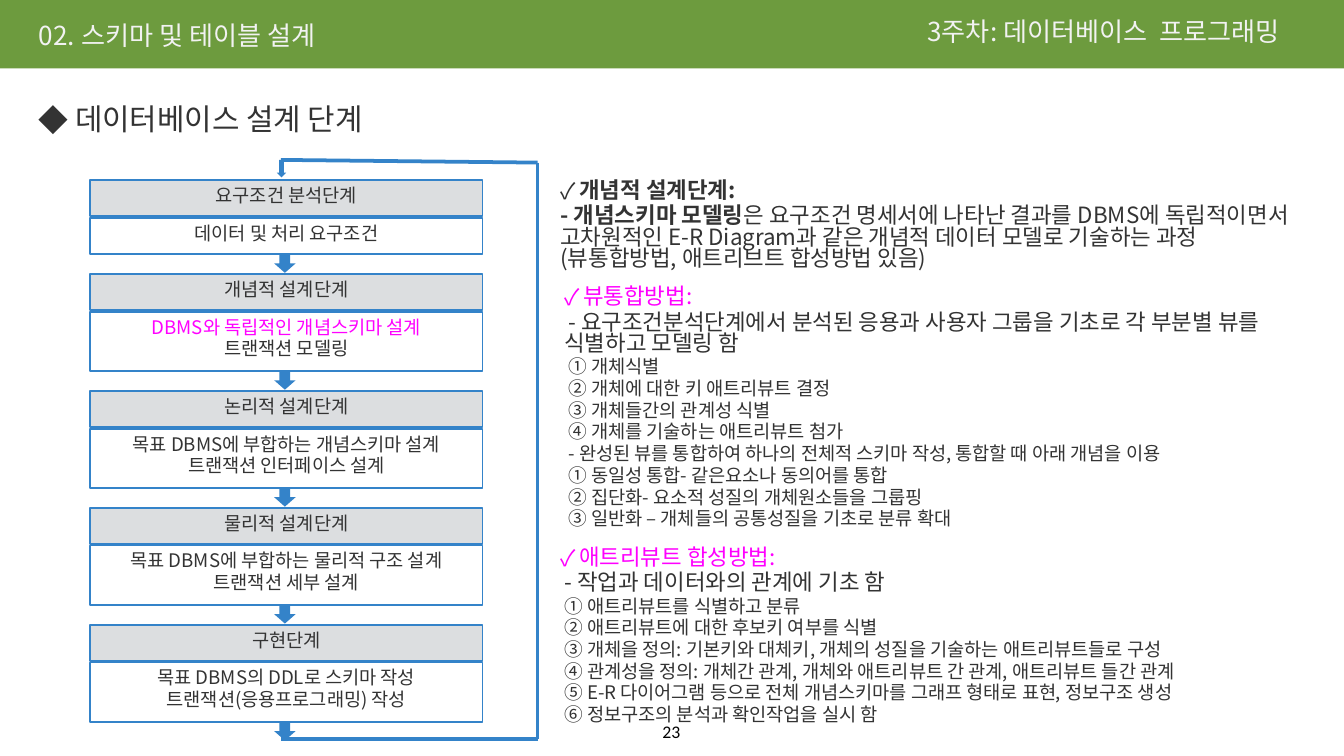
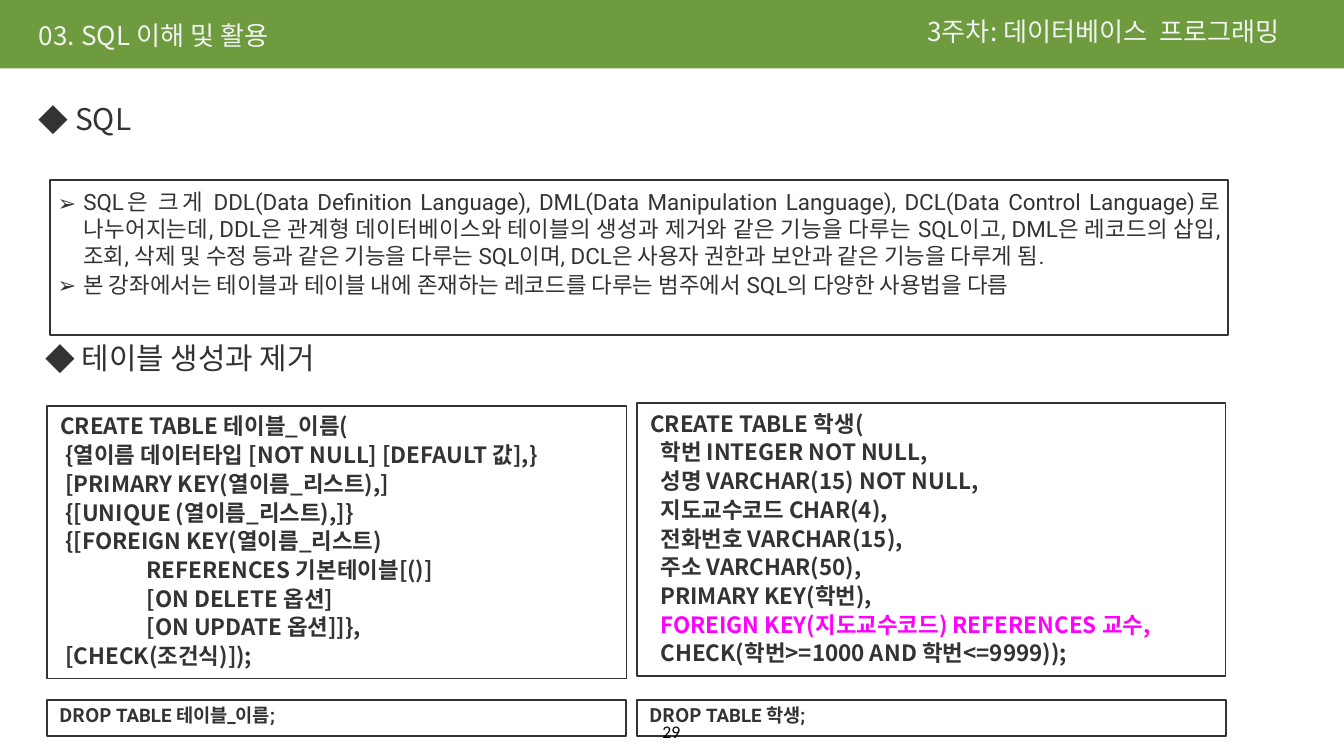
from lxml import etree
from pptx import Presentation
from pptx import util as u
from pptx.dml.color import RGBColor
from pptx.enum import shapes, text
from pptx.oxml.ns import qn

THEME = {
    "green": "6D9B3E", "pale": "F2F2F2", "ink": "333333", "pink": "FF00FF",
    "blue": "3483C9", "grey": "DCDEE0", "black": "000000",
    "korean": "Noto Sans CJK KR", "latin": "Roboto", "number": "Calibri",
    "title": 14, "heading": 16, "body": 12, "small": 10, "page": 9.5,
}
LEFT, CENTER, JUSTIFY = text.PP_ALIGN.LEFT, text.PP_ALIGN.CENTER, text.PP_ALIGN.JUSTIFY
RECT, ARROW = shapes.MSO_SHAPE.RECTANGLE, shapes.MSO_SHAPE.DOWN_ARROW


def write(box, lines, inset=(0.06, 0.06), anchor=text.MSO_ANCHOR.TOP, wrap=True, **common):
    frame = box.text_frame
    frame_format = {
        "word_wrap": wrap, "auto_size": text.MSO_AUTO_SIZE.NONE, "vertical_anchor": anchor,
        "margin_left": u.Inches(inset[0]), "margin_right": u.Inches(inset[0]),
        "margin_top": u.Inches(inset[1]), "margin_bottom": u.Inches(inset[1]),
    }
    for name, value in frame_format.items():
        setattr(frame, name, value)
    for index, (content, extra) in enumerate(lines):
        style = {"size": "small", "color": "ink", "font": "korean", "bold": False, "align": LEFT,
                 "spacing": 0.8, "before": 2, "bullet": None, "hang": 0, "first": 0} | common | extra
        para = frame.paragraphs[0] if index == 0 else frame.add_paragraph()
        para_format = {"alignment": style["align"], "line_spacing": style["spacing"],
                       "space_before": u.Pt(style["before"] if index else 0)}
        for name, value in para_format.items():
            setattr(para, name, value)
        properties = para._p.get_or_add_pPr()
        properties.set("marL", str(u.Inches(style["hang"])))
        properties.set("indent", str(u.Inches(style["first"] - style["hang"])))
        if style["bullet"]:
            etree.SubElement(properties, qn("a:buFont")).set("typeface", THEME["korean"])
            etree.SubElement(properties, qn("a:buChar")).set("char", style["bullet"])
        spans = [(content, {})] if isinstance(content, str) else content
        for words, change in spans:
            look = style | change
            span = para.add_run()
            span.text = words
            span.font.color.rgb = RGBColor.from_string(THEME[look["color"]])
            font_format = {"name": THEME[look["font"]], "size": u.Pt(THEME[look["size"]]), "bold": look["bold"]}
            for name, value in font_format.items():
                setattr(span.font, name, value)
            run_properties = span._r.get_or_add_rPr()
            run_properties.set("kern", "0")
            etree.SubElement(run_properties, qn("a:ea")).set("typeface", THEME["korean"])


def draw(page, kind, place, fill=None, line=None, width=1):
    shape = page.shapes.add_shape(kind, *map(u.Inches, place))
    shape.shadow.inherit = False
    if fill:
        shape.fill.solid()
        shape.fill.fore_color.rgb = RGBColor.from_string(THEME[fill])
    else:
        shape.fill.background()
    if line:
        shape.line.color.rgb = RGBColor.from_string(THEME[line])
        shape.line.width = u.Pt(width)
    else:
        shape.line.fill.background()
    return shape


deck = Presentation()
deck.slide_width = u.Inches(10)
deck.slide_height = deck.slide_width * 9 // 16
layout = deck.slide_layouts[5]

page_plans = [
    ("02. 스키마 및 테이블 설계", "23", [(0.23, 0.74, "데이터베이스 설계 단계")]),
    ("03. SQL 이해 및 활용", "29", [(0.23, 0.74, "SQL"), (0.28, 2.52, "테이블 생성과 제거")]),
]
pages = []
for title, number, headings in page_plans:
    page = deck.slides.add_slide(layout)
    if not pages:
        band = draw(page, RECT, (0, 0, 10, 0.51), "green")
        layout.shapes._spTree.insert(2, band._element)
    pages.append(page)
    title_box = page.shapes.title
    for name, value in {"left": 0.23, "top": 0.13, "width": 3.1, "height": 0.31}.items():
        setattr(title_box, name, u.Inches(value))
    write(title_box, [(title, {})], size="title", color="pale")
    course_box = page.shapes.add_textbox(*map(u.Inches, (6.84, 0.1, 3.1, 0.31)))
    write(course_box, [("3주차: 데이터베이스  프로그래밍", {})], anchor=text.MSO_ANCHOR.MIDDLE,
          size="title", color="pale")
    for left, top, heading in headings:
        heading_box = page.shapes.add_textbox(*map(u.Inches, (left, top, 5.61, 0.47)))
        write(heading_box, [(heading, {})], size="heading", bullet="◆", hang=0.27)

design_page, sql_page = pages

stages = [
    ("요구조건 분석단계", ["데이터 및 처리 요구조건"]),
    ("개념적 설계단계", ["DBMS와 독립적인 개념스키마 설계", "트랜잭션 모델링"]),
    ("논리적 설계단계", ["목표 DBMS에 부합하는 개념스키마 설계", "트랜잭션 인터페이스 설계"]),
    ("물리적 설계단계", ["목표 DBMS에 부합하는 물리적 구조 설계", "트랜잭션 세부 설계"]),
    ("구현단계", ["목표 DBMS의 DDL로 스키마 작성", "트랜잭션(응용프로그래밍) 작성"]),
]
stage_top = 1.34
for stage, details in stages:
    stage_box = draw(design_page, RECT, (0.67, stage_top, 2.92, 0.27), "grey", "blue")
    write(stage_box, [(stage, {})], align=CENTER)
    detail_height = 0.27 + 0.17 * (len(details) - 1)
    detail_box = draw(design_page, RECT, (0.67, stage_top + 0.28, 2.92, detail_height), line="blue")
    write(detail_box, [(detail, {"color": "pink" if "독립적인" in detail else "ink"}) for detail in details],
          align=CENTER)
    arrow_top = stage_top + 0.28 + detail_height
    draw(design_page, ARROW, (2.04, arrow_top, 0.16, 0.14), "blue")
    stage_top = arrow_top + 0.15

draw(design_page, ARROW, (2.06, 1.19, 0.07, 0.13), "blue")
loop_points = [(2.09, 1.19), (4, 1.21), (4, 5.5), (2.09, 5.5)]
for start, end in zip(loop_points, loop_points[1:]):
    loop_line = design_page.shapes.add_connector(shapes.MSO_CONNECTOR.STRAIGHT, *map(u.Inches, start + end))
    loop_line.line.color.rgb = RGBColor.from_string(THEME["blue"])
    loop_line.line.width = u.Pt(2)
    etree.SubElement(loop_line._element.spPr, qn("a:effectLst"))

check = {"size": "body", "bullet": "✓", "hang": 0.14}
method = check | {"color": "pink"}
lead = {"size": "body", "first": 0.03}
step = {"first": 0.03}
explanations = [
    ((4.11, 1.29, 5.64, 0.81), [
        ("개념적 설계단계:", check | {"bold": True}),
        ([("- 개념스키마 모델링", {"bold": True}),
          ("은 요구조건 명세서에 나타난 결과를 DBMS에 독립적이면서 고차원적인 E-R Diagram과 같은 개념적 "
           "데이터 모델로 기술하는 과정(뷰통합방법, 애트리브트 합성방법 있음)", {})], {"size": "body"}),
    ]),
    ((4.14, 2.08, 5.46, 1.95), [
        ("뷰통합방법:", method),
        ("- 요구조건분석단계에서 분석된 응용과 사용자 그룹을 기초로 각 부분별 뷰를 식별하고 모델링 함", lead),
        ("① 개체식별", step),
        ("② 개체에 대한 키 애트리뷰트 결정", step),
        ("③ 개체들간의 관계성 식별", step),
        ("④ 개체를 기술하는 애트리뷰트 첨가", step),
        ("- 완성된 뷰를 통합하여 하나의 전체적 스키마 작성, 통합할 때 아래 개념을 이용", step),
        ("① 동일성 통합- 같은요소나 동의어를 통합", step),
        ("② 집단화- 요소적 성질의 개체원소들을 그룹핑", step),
        ("③ 일반화 – 개체들의 공통성질을 기초로 분류 확대", step),
    ]),
    ((4.11, 4.02, 5.46, 1.47), [
        ("애트리뷰트 합성방법:", method),
        ("- 작업과 데이터와의 관계에 기초 함", lead),
        ("① 애트리뷰트를 식별하고 분류", step),
        ("② 애트리뷰트에 대한 후보키 여부를 식별", step),
        ("③ 개체을 정의: 기본키와 대체키, 개체의 성질을 기술하는 애트리뷰트들로 구성", step),
        ("④ 관계성을 정의: 개체간 관계, 개체와 애트리뷰트 간 관계, 애트리뷰트 들간 관계", step),
        ("⑤ E-R 다이어그램 등으로 전체 개념스키마를 그래프 형태로 표현, 정보구조 생성", step),
        ("⑥ 정보구조의 분석과 확인작업을 실시 함", step),
    ]),
]
for place, lines in explanations:
    write(design_page.shapes.add_textbox(*map(u.Inches, place)), lines)

summary_box = draw(sql_page, RECT, (0.37, 1.34, 8.77, 1.15), line="ink")
summary = [
    "SQL은 크게 DDL(Data Definition Language), DML(Data Manipulation Language), "
    "DCL(Data Control Language)로 나누어지는데, DDL은 관계형 데이터베이스와 테이블의 생성과 제거와 같은 "
    "기능을 다루는 SQL이고, DML은 레코드의 삽입, 조회, 삭제 및 수정 등과 같은 기능을 다루는 SQL이며, "
    "DCL은 사용자 권한과 보안과 같은 기능을 다루게 됨.",
    "본 강좌에서는 테이블과 테이블 내에 존재하는 레코드를 다루는 범주에서 SQL의 다양한 사용법을 다름",
]
write(summary_box, [(line, {}) for line in summary], size="body", font="latin", align=JUSTIFY,
      spacing=1.0, before=1, bullet="➢", hang=0.19)

syntax = """CREATE TABLE 테이블_이름(
 {열이름 데이터타입 [NOT NULL] [DEFAULT 값],}
 [PRIMARY KEY(열이름_리스트),]
 {[UNIQUE (열이름_리스트),]}
 {[FOREIGN KEY(열이름_리스트)
                 REFERENCES 기본테이블[()]
                 [ON DELETE 옵션]
                 [ON UPDATE 옵션]]},
 [CHECK(조건식)]);"""
example = """CREATE TABLE 학생(
  학번 INTEGER NOT NULL,
  성명 VARCHAR(15) NOT NULL,
  지도교수코드 CHAR(4),
  전화번호 VARCHAR(15),
  주소 VARCHAR(50),
  PRIMARY KEY(학번),
  FOREIGN KEY(지도교수코드) REFERENCES 교수,
  CHECK(학번>=1000 AND 학번<=9999));"""
code_columns = [
    (0.35, 3.02, 4.31, syntax, LEFT, "테이블_이름"),
    (4.74, 3, 4.38, example, JUSTIFY, "학생"),
]
for left, top, width, code, align, table_name in code_columns:
    code_box = draw(sql_page, RECT, (left, top, width, 2.03), line="ink", width=0.75)
    code_lines = [(line, {"color": "pink" if "교수," in line else "ink"}) for line in code.split("\n")]
    write(code_box, code_lines, inset=(0.1, 0.05), size="body", bold=True, align=align, spacing=1.0, before=1)
    drop_box = draw(sql_page, RECT, (left, 5.21, width, 0.27), line="ink")
    write(drop_box, [([(" DROP ", {}), (f"TABLE {table_name};", {"font": "latin"})], {})], bold=True)

for page, (title, number, headings) in zip(pages, page_plans):
    number_box = page.shapes.add_textbox(*map(u.Inches, (4.86, 5.34, 0.27, 0.27)))
    write(number_box, [(number, {})], inset=(0.06, 0.02), wrap=False, size="page", color="black",
          font="number", align=CENTER, spacing=1.0)

deck.save("out.pptx")
